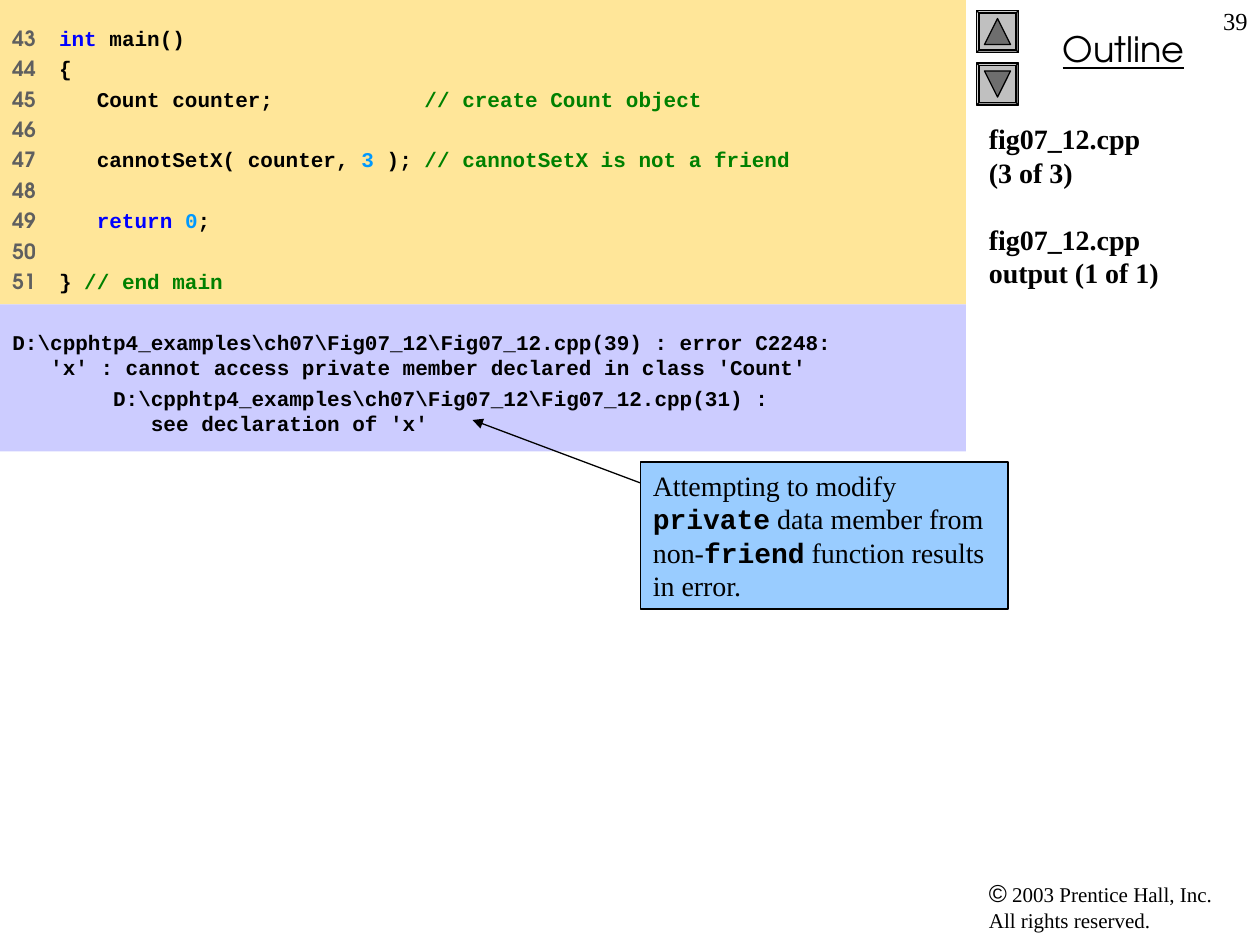
from lxml import etree
from pptx import Presentation
from pptx.dml.color import RGBColor
from pptx.enum.shapes import MSO_CONNECTOR, MSO_SHAPE
from pptx.enum.text import MSO_ANCHOR, PP_ALIGN
from pptx.oxml.ns import qn
from pptx.util import Inches, Pt

RECT, BEVEL, TRIANGLE = MSO_SHAPE.RECTANGLE, MSO_SHAPE.BEVEL, MSO_SHAPE.ISOSCELES_TRIANGLE
STRAIGHT = MSO_CONNECTOR.STRAIGHT
TOP = MSO_ANCHOR.TOP
LEFT, CENTER, RIGHT = PP_ALIGN.LEFT, PP_ALIGN.CENTER, PP_ALIGN.RIGHT
SERIF, MONO, GOTHIC, SANS = "Times New Roman", "Courier New", "TeX Gyre Adventor", "Arial"
COLUMNS, ROWS = 120, 90
CELL = Inches(10) / COLUMNS
COLORS = {
    "text": "000000", "number": "5F5F5F", "keyword": "0000FF", "literal": "0099FF",
    "comment": "008000", "code": "FFE699", "output": "CCCCFF", "callout": "99CCFF",
    "button": "C0C0C0", "arrow": "6E6E6E",
}
FIRST_LINE = 43
CODE = [
    [("int", "keyword"), (" main()", "text")],
    [("{", "text")],
    [("   Count counter;            ", "text"), ("// create Count object", "comment")],
    [],
    [("   cannotSetX( counter, ", "text"), ("3", "literal"), (" ); ", "text"),
     ("// cannotSetX is not a friend", "comment")],
    [],
    [("   return ", "keyword"), ("0", "literal"), (";", "text")],
    [],
    [("} ", "text"), ("// end main", "comment")],
]
OUTPUT = [
    "D:\\cpphtp4_examples\\ch07\\Fig07_12\\Fig07_12.cpp(39) : error C2248:\n"
    "   'x' : cannot access private member declared in class 'Count'",
    "        D:\\cpphtp4_examples\\ch07\\Fig07_12\\Fig07_12.cpp(31) :\n"
    "           see declaration of 'x'",
]
TITLE = ["fig07_12.cpp\n(3 of 3)", "fig07_12.cpp\noutput (1 of 1)"]


def grid(*cells):
    """Turn grid cells into slide lengths."""
    return [round(c * CELL) for c in cells]


def color(name):
    """Look up a colour by its role."""
    return RGBColor.from_string(COLORS[name])


def add_run(p, text, size=12, font=SERIF, fill="text", bold=False, underline=False):
    """Append formatted text to a paragraph, breaking at each newline."""
    for i, part in enumerate(text.split("\n")):
        if i:
            p.add_line_break()
        r = p.add_run()
        r.text = part
        r.font.size, r.font.name = Pt(size), font
        r.font.bold, r.font.underline = bold, underline
        r.font.color.rgb = color(fill)


def add_paragraphs(s, count, gap=0, align=LEFT, inset=0.05):
    """Prepare the text frame of a shape and return its paragraphs."""
    tf = s.text_frame
    tf.word_wrap, tf.vertical_anchor = True, TOP
    tf.margin_left = tf.margin_right = Inches(0.1)
    tf.margin_top = tf.margin_bottom = Inches(inset)
    for i in range(count):
        p = tf.add_paragraph() if i else tf.paragraphs[0]
        p.alignment = align
        if i:
            p.space_before = Pt(gap)
    return tf.paragraphs


def add_shape(sp, kind, box, fill, line=True):
    """Add a filled preset shape, outlined in black if asked."""
    s = sp.add_shape(kind, *grid(*box))
    s.shadow.inherit = False
    s.fill.solid()
    s.fill.fore_color.rgb = color(fill)
    if line:
        s.line.color.rgb, s.line.width = color("text"), Pt(0.75)
    else:
        s.line.fill.background()
    return s


def add_label(sp, box, blocks, gap=0, align=LEFT, **fmt):
    """Add a text box with one paragraph for each block."""
    s = sp.add_textbox(*grid(*box))
    for p, text in zip(add_paragraphs(s, len(blocks), gap, align), blocks):
        add_run(p, text, **fmt)


def add_code(sp, box):
    """Add the numbered program listing."""
    s = add_shape(sp, RECT, box, "code", line=False)
    for i, p in enumerate(add_paragraphs(s, len(CODE), gap=3, inset=0.2)):
        tabs = etree.SubElement(p._p.get_or_add_pPr(), qn("a:tabLst"))
        etree.SubElement(tabs, qn("a:tab"), pos=str(Inches(0.37)), algn="l")
        add_run(p, f"{FIRST_LINE + i}" + ("\t" if CODE[i] else ""),
                font=GOTHIC, fill="number", bold=True)
        for text, role in CODE[i]:
            add_run(p, text, font=MONO, fill=role, bold=True)


def add_output(sp, box):
    """Add the compiler output panel."""
    s = add_shape(sp, RECT, box, "output", line=False)
    for p, text in zip(add_paragraphs(s, len(OUTPUT), gap=3, inset=0.2), OUTPUT):
        add_run(p, text, font=MONO, bold=True)


def add_button(sp, box, rotation):
    """Add a bevelled button with a triangle inside it."""
    x, y, w, h = box
    add_shape(sp, BEVEL, box, "button").adjustments[0] = 0.06
    inner = (x + w * 0.19, y + h * 0.19, w * 0.62, h * 0.62)
    add_shape(sp, TRIANGLE, inner, "arrow").rotation = rotation


def add_callout(sp, box, target):
    """Add the explanation box and the arrow to its target."""
    x, y = box[:2]
    s = add_shape(sp, RECT, box, "callout")
    p = add_paragraphs(s, 1)[0]
    for text, is_code in [("Attempting to modify ", False), ("private", True),
                          (" data member from non-", False), ("friend", True),
                          (" function results in error.", False)]:
        add_run(p, text, size=16, font=MONO if is_code else SERIF, bold=is_code)
    c = sp.add_connector(STRAIGHT, *grid(x, y + 2, *target))
    c.line.color.rgb, c.line.width = color("text"), Pt(0.75)
    etree.SubElement(c.line._get_or_add_ln(), qn("a:tailEnd"), type="triangle")
    etree.SubElement(c._element.spPr, qn("a:effectLst"))


def add_sidebar(sp, box):
    """Add the outline heading, buttons, file names, page number and copyright."""
    x, y, w, h = box
    for row, rotation in ((1, 0), (6, 180)):
        add_button(sp, (x, y + row, 4, 4), rotation)
    add_label(sp, (x + 1, y + 2, w - 1, 5.28), ["Outline"], align=CENTER,
              size=20, font=GOTHIC, underline=True)
    add_label(sp, (x + w - 6, y, 6, 6), ["39"], align=RIGHT, size=14)
    add_label(sp, (x, y + 11, w, 63), TITLE, gap=19, size=16, bold=True)
    s = sp.add_textbox(*grid(x, y + h - 7, w - 1, 6.5))
    p = add_paragraphs(s, 1)[0]
    add_run(p, "©", size=14, font=SANS)
    add_run(p, " 2003 Prentice Hall, Inc.\nAll rights reserved.")


def main():
    """Build the slide and save it."""
    prs = Presentation()
    prs.slide_width, prs.slide_height = grid(COLUMNS, ROWS)
    sp = prs.slides.add_slide(prs.slide_layouts[6]).shapes
    add_sidebar(sp, (93, 0, 27, ROWS))
    add_code(sp, (0, 0, 92, 29))
    add_output(sp, (0, 29, 92, 14))
    add_callout(sp, (61, 44, 35, 14), target=(45, 40))
    prs.save("out.pptx")


if __name__ == "__main__":
    main()
